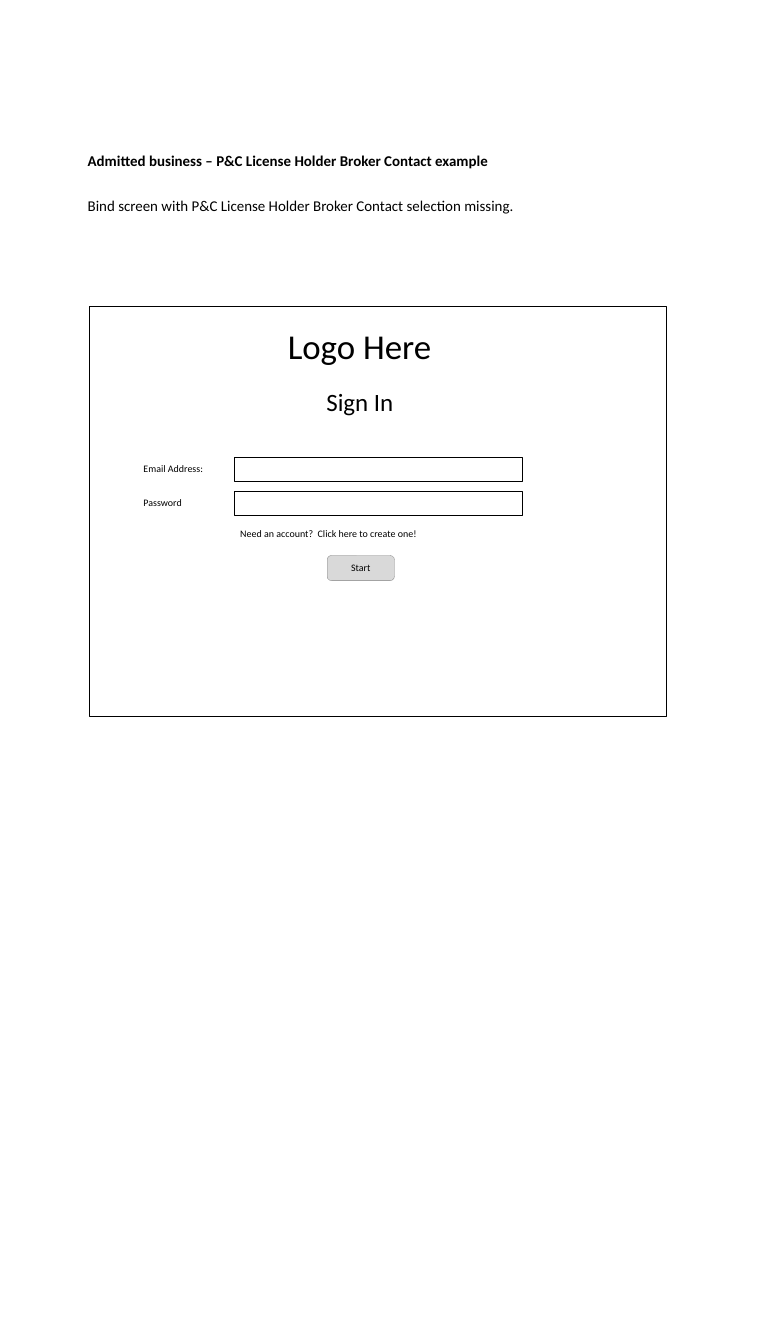
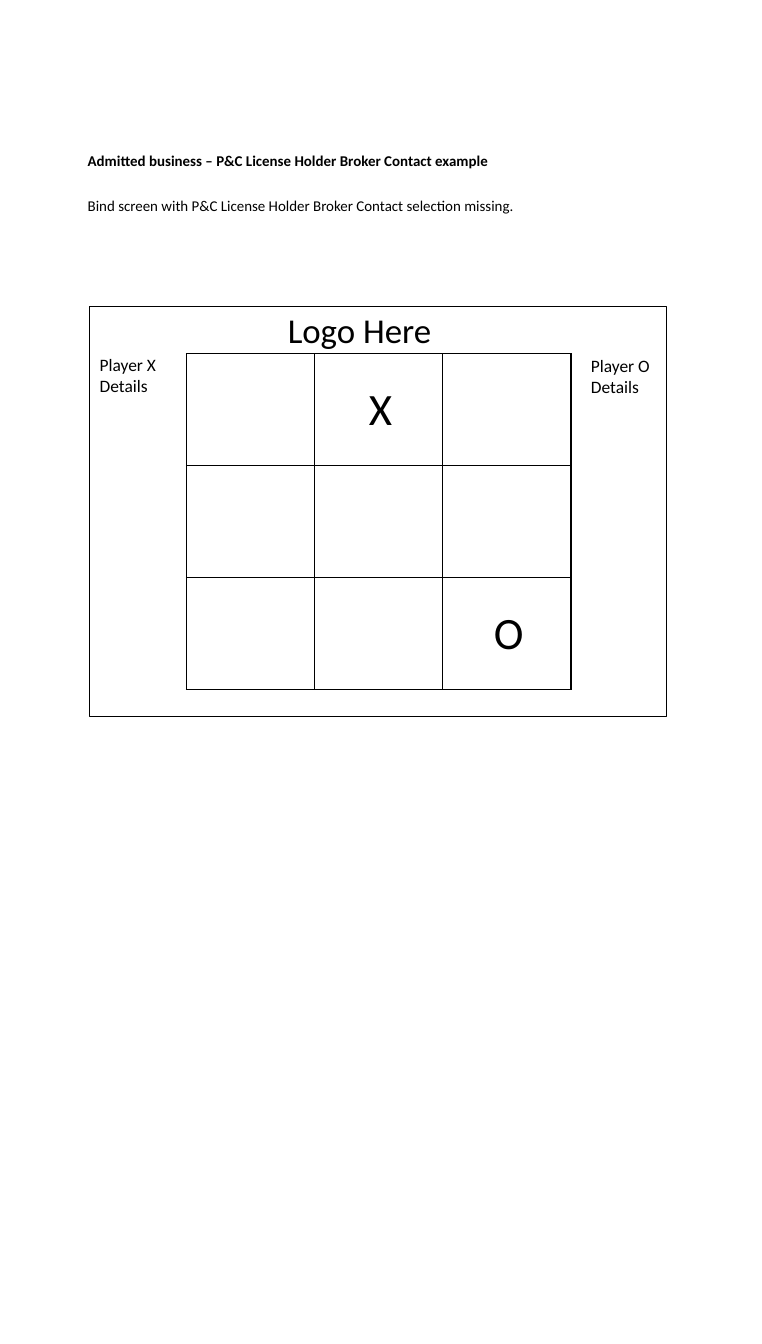
from lxml import etree
from pptx import Presentation
from pptx.dml.color import RGBColor
from pptx.enum.shapes import MSO_SHAPE
from pptx.enum.text import MSO_ANCHOR, PP_ALIGN
from pptx.oxml.ns import qn
from pptx.util import Inches, Pt

RECT, ROUNDED = MSO_SHAPE.RECTANGLE, MSO_SHAPE.ROUNDED_RECTANGLE
TOP, MIDDLE = MSO_ANCHOR.TOP, MSO_ANCHOR.MIDDLE
LEFT, CENTER = PP_ALIGN.LEFT, PP_ALIGN.CENTER

# Shared style
FONT = "Calibri"
BLACK, BUTTON_GREY, BUTTON_EDGE = "000000", "D9D9D9", "808080"
TEXT_MARGINS = (0.1, 0.05, 0.1, 0.05)
LABEL_MARGINS = (0.07, 0.01, 0.07, 0.02)
BUTTON_MARGINS = (0.07, 0, 0.07, 0.01)
MARK_MARGINS = (0.05, 0.01, 0.01, 0)

TITLE = "Admitted business – P&C License Holder Broker Contact example"
SUBTITLE = "Bind screen with P&C License Holder Broker Contact selection missing."


def rgb(hex_color):
    return RGBColor.from_string(hex_color)


def set_margins(target, margins):
    """Set left, top, right and bottom margins of a text frame or cell."""
    left, top, right, bottom = map(Inches, margins)
    target.margin_left, target.margin_top = left, top
    target.margin_right, target.margin_bottom = right, bottom


def write(tf, text, size, bold=False, align=LEFT):
    tf.text = text
    for p in tf.paragraphs:
        p.alignment = align
        for r in p.runs:
            r.font.name, r.font.size, r.font.bold = FONT, Pt(size), bold
            r.font.color.rgb = rgb(BLACK)


def add_text(slide, box, text, size, bold=False, anchor=MIDDLE,
             margins=LABEL_MARGINS, wrap=False):
    tf = slide.shapes.add_textbox(*map(Inches, box)).text_frame
    tf.word_wrap = wrap
    tf.vertical_anchor = anchor
    set_margins(tf, margins)
    write(tf, text, size, bold)


def add_box(slide, box, shape=RECT, fill=None, line=BLACK, width=0):
    sp = slide.shapes.add_shape(shape, *map(Inches, box))
    sp.shadow.inherit = False
    if fill:
        sp.fill.solid()
        sp.fill.fore_color.rgb = rgb(fill)
    else:
        sp.fill.background()
    sp.line.color.rgb = rgb(line)
    sp.line.width = Pt(width)
    return sp


def add_button(slide, box, text):
    sp = add_box(slide, box, ROUNDED, BUTTON_GREY, BUTTON_EDGE, 0.25)
    tf = sp.text_frame
    tf.vertical_anchor = MIDDLE
    set_margins(tf, BUTTON_MARGINS)
    write(tf, text, 8, align=CENTER)


def add_field(slide, top, label, label_width):
    add_box(slide, (2.61, top, 3.22, 0.26))
    add_text(slide, (1.53, top + 0.04, label_width, 0.17), label, 8)


def set_borders(cell, color, width):
    tc_pr = cell._tc.get_or_add_tcPr()
    for i, side in enumerate(("lnL", "lnR", "lnT", "lnB")):
        ln = etree.Element(qn(f"a:{side}"), w=str(Pt(width)))
        fill = etree.SubElement(ln, qn("a:solidFill"))
        etree.SubElement(fill, qn("a:srgbClr"), val=color)
        tc_pr.insert(i, ln)


def add_board(slide, left, top, col_width, row_height, marks, size=3):
    """Draw the game grid; marks maps (row, column) to a player's letter."""
    table = slide.shapes.add_table(
        size, size, Inches(left), Inches(top),
        Inches(size * col_width), Inches(size * row_height)).table
    table.first_row = table.horz_banding = False
    for i in range(size):
        table.columns[i].width = Inches(col_width)
        table.rows[i].height = Inches(row_height)
    for cell in table.iter_cells():
        cell.fill.background()
        set_borders(cell, BLACK, 1)
    for (row, col), mark in marks.items():
        cell = table.cell(row, col)
        cell.vertical_anchor = MIDDLE
        set_margins(cell, MARK_MARGINS)
        write(cell.text_frame, mark, 36, align=CENTER)


def add_screen(prs, logo_top):
    """Start a slide with the heading, screen frame and logo text."""
    slide = prs.slides.add_slide(prs.slide_layouts[6])
    add_box(slide, (1, 3.42, 6.44, 4.58))
    for top, text, bold in ((1.64, TITLE, True), (2.15, SUBTITLE, False)):
        add_text(slide, (0.88, top, 5.48, 0.54), text, 12, bold,
                 TOP, TEXT_MARGINS, wrap=True)
    add_text(slide, (3.14, logo_top, 1.77, 0.51), "Logo Here", 28)
    return slide


def sign_in_slide(prs):
    slide = add_screen(prs, 3.61)
    add_text(slide, (3.57, 4.3, 0.91, 0.37), "Sign In", 20)
    add_field(slide, 5.11, "Email Address:", 0.82)
    add_field(slide, 5.49, "Password", 0.59)
    add_text(slide, (2.61, 5.87, 2.14, 0.17),
             "Need an account?  Click here to create one!", 8)
    add_button(slide, (3.65, 6.2, 0.75, 0.28), "Start")


def game_slide(prs):
    slide = add_screen(prs, 3.43)
    add_board(slide, 2.08, 3.95, 1.43, 1.25, {(0, 1): "X", (2, 2): "O"})
    add_text(slide, (1.04, 3.94, 0.79, 0.51), "Player X\nDetails", 14)
    add_text(slide, (6.52, 3.95, 0.82, 0.51), "Player O\nDetails", 14)


def main():
    prs = Presentation()
    prs.slide_width, prs.slide_height = Inches(8.5), Inches(15)
    sign_in_slide(prs)
    game_slide(prs)
    prs.save("out.pptx")


if __name__ == "__main__":
    main()
